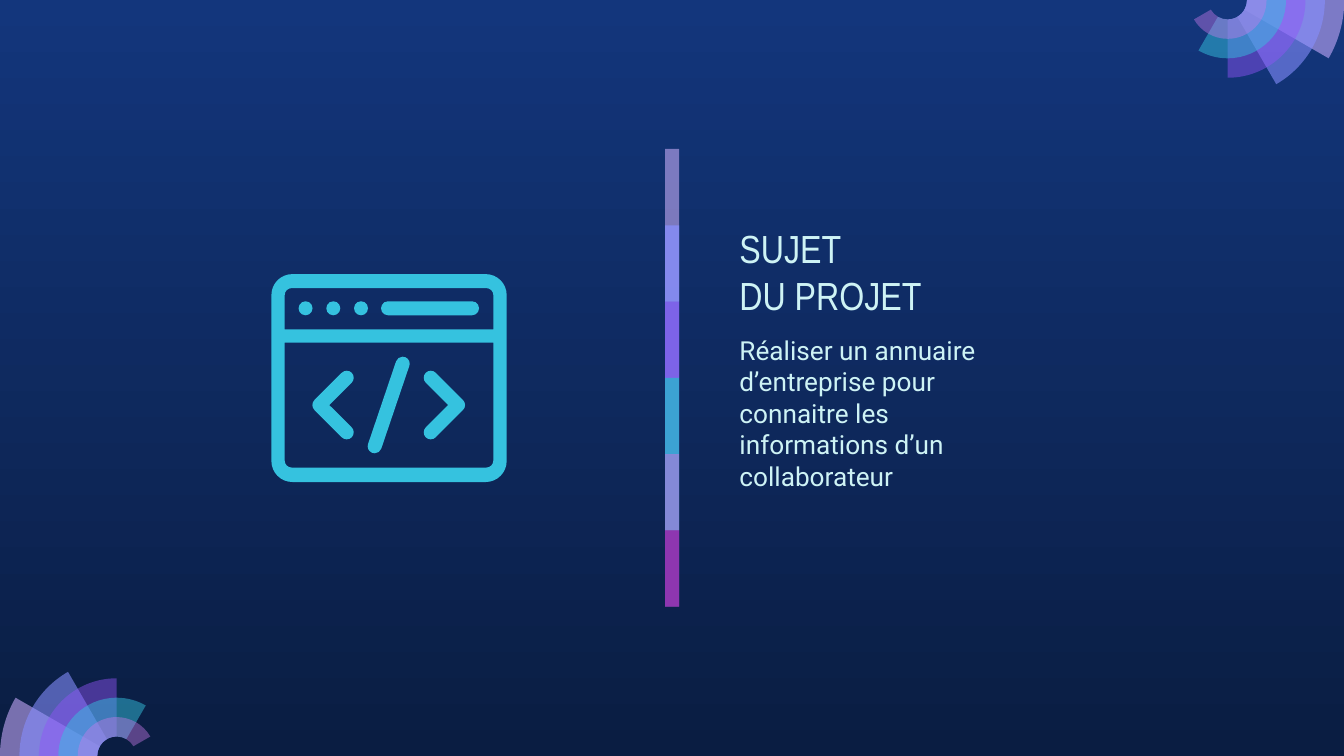
import dataclasses
import math

import lxml.etree
import pptx
import pptx.dml.color
import pptx.enum.shapes
import pptx.enum.text
import pptx.oxml.ns
import pptx.util

COLUMNS, ROWS = 96, 54
WIDTH, HEIGHT = pptx.util.Inches(13.33), pptx.util.Inches(7.5)
UNIT = HEIGHT / ROWS


@dataclasses.dataclass(frozen=True)
class Theme:
    """Colours with opacity in percent, fonts and type sizes."""
    sky: tuple = ("13367C", "0A1D42")
    ink: str = "CEF3F5"
    icon: str = "35C2DF"
    strip: tuple = (("C8AEF8", 59), ("878FFF", 74), ("9154F8", 53),
                    ("35C2DF", 76), ("CA7BEB", 56), ("972CB4", 74))
    fan: tuple = (("C8ACFD", 58), ("878FFF", 58), ("9154F8", 46),
                  ("35C2DF", 49), ("CA7BEB", 42))
    title_font: str = "Arial Narrow"
    body_font: str = "Roboto"
    title_size: float = 28
    body_size: float = 18.7


@dataclasses.dataclass(frozen=True)
class Box:
    """A region in grid columns and rows."""
    left: float
    top: float
    width: float
    height: float

    def inner(self, left, top, width, height):
        """Return a box placed relative to this one."""
        return Box(self.left + left, self.top + top, width, height)

    def place(self, shape):
        """Move and size a shape to fill the box."""
        shape.left, shape.top, shape.width, shape.height = self.lengths()

    def lengths(self):
        """Return left, top, width and height in EMU."""
        return [pptx.util.Emu(round(value * UNIT))
                for value in (self.left, self.top, self.width, self.height)]


THEME = Theme()


def rgb(code):
    """Turn a hex code into a colour."""
    return pptx.dml.color.RGBColor.from_string(code)


def paint(shape, colour, opacity=100):
    """Give a shape a flat fill with no line or shadow."""
    shape.shadow.inherit = False
    shape.fill.solid()
    shape.fill.fore_color.rgb = rgb(colour)
    shape.line.fill.background()
    if opacity < 100:
        alpha = pptx.oxml.ns.qn("a:alpha")
        for node in shape.element.iter(pptx.oxml.ns.qn("a:srgbClr")):
            lxml.etree.SubElement(node, alpha).set("val", str(opacity * 1000))


def add_preset(page, kind, box, colour, opacity=100):
    """Add a flat preset shape."""
    shape = page.shapes.add_shape(kind, *box.lengths())
    paint(shape, colour, opacity)
    return shape


def arc(x, y, radius, start, end):
    """List a first point, then one curve of three points per quadrant."""
    if not radius:
        return [((x, y),)]
    low, high = sorted((start, end))
    turns = range(math.floor(low / 90) + 1, math.ceil(high / 90))
    stops = sorted({low, high, *(90 * turn for turn in turns)}, reverse=start > end)
    angles = [math.radians(stop) for stop in stops]
    spots = [(x + radius * math.cos(a), y + radius * math.sin(a)) for a in angles]
    steps = [(spots[0],)]
    for a, b, first, last in zip(angles, angles[1:], spots, spots[1:]):
        pull = radius * 4 / 3 * math.tan((b - a) / 4)
        steps.append(((first[0] - pull * math.sin(a), first[1] + pull * math.cos(a)),
                      (last[0] + pull * math.sin(b), last[1] - pull * math.cos(b)),
                      last))
    return steps


def rounded(left, top, right, bottom, upper, lower):
    """List the outline of a rectangle with rounded corners."""
    return (arc(left + upper, top + upper, upper, 180, 270)
            + arc(right - upper, top + upper, upper, 270, 360)
            + arc(right - lower, bottom - lower, lower, 0, 90)
            + arc(left + lower, bottom - lower, lower, 90, 180))


def bend(shape, contours):
    """Join each three-point step of a freeform into a curve."""
    lines = iter(list(shape.element.iter(pptx.oxml.ns.qn("a:lnTo"))))
    for contour in contours:
        for step in contour[1:]:
            joined = [next(lines) for point in step]
            if len(joined) == 3:
                parent = joined[0].getparent()
                curve = lxml.etree.SubElement(parent, pptx.oxml.ns.qn("a:cubicBezTo"))
                joined[0].addprevious(curve)
                for line in joined:
                    curve.append(line[0])
                    parent.remove(line)


def add_outline(page, box, contours, colour, opacity=100):
    """Add a flat freeform from contours measured in the box."""
    scaled = [[((box.left + x) * UNIT, (box.top + y) * UNIT)
               for step in contour for x, y in step] for contour in contours]
    builder = page.shapes.build_freeform(*scaled[0][0], scale=1.0)
    for index, points in enumerate(scaled):
        if index:
            builder.move_to(*points[0])
        builder.add_line_segments(points[1:], close=True)
    shape = builder.convert_to_shape()
    bend(shape, contours)
    paint(shape, colour, opacity)


def add_strip(page, box):
    """Stack overlapping translucent bars down the box."""
    count = len(THEME.strip)
    step = box.height / count
    for index, (colour, opacity) in enumerate(THEME.strip):
        bar = box.inner(0, index * step, box.width, step * min(2, count - index))
        add_preset(page, pptx.enum.shapes.MSO_SHAPE.RECTANGLE, bar, colour, opacity)


def add_fan(page, box, x, y, start):
    """Spread ring sectors around a hub inside the box."""
    step = box.height / (len(THEME.fan) + 1)
    for index, (colour, opacity) in enumerate(THEME.fan):
        end = start + 30 * (index + 1)
        outer = box.height - index * step
        sector = arc(x, y, outer, start, end) + arc(x, y, step, end, start)
        add_outline(page, box, [sector], colour, opacity)


def add_code_icon(page, box):
    """Draw a browser window holding a code tag."""
    right, bottom = box.width, box.height
    add_outline(page, box, [
        rounded(0, 0, right, bottom, 1.5, 1.5),
        rounded(0.95, 1, right - 0.95, 3.95, 0.5, 0),
        rounded(0.95, 4.9, right - 0.95, bottom - 1.03, 0, 0.5)], THEME.icon)
    kinds = pptx.enum.shapes.MSO_SHAPE
    for index in range(3):
        dot = box.inner(1.94 + 1.98 * index, 1.94, 1, 1)
        add_preset(page, kinds.OVAL, dot, THEME.icon)
    address = box.inner(7.83, 1.94, 7, 1)
    add_preset(page, kinds.ROUNDED_RECTANGLE, address, THEME.icon).adjustments[0] = 0.5

    middle_x, middle_y, radius = 8.38, 9.35, 0.5
    end_x, tip_x, rise = 3, 4.95, 1.95
    chevron = (arc(end_x, -rise, radius, 135, 315)
               + arc(tip_x, 0, radius, -45, 45)
               + arc(end_x, rise, radius, 45, 225)
               + [((tip_x - radius * math.sqrt(2), 0),)])
    for side in (1, -1):
        outline = [tuple((middle_x + side * x, middle_y + y) for x, y in step)
                   for step in chevron]
        add_outline(page, box, [outline], THEME.icon)

    run, climb = 1, 2.95
    lean = math.degrees(math.atan2(-climb, run))
    slash = (arc(middle_x + run, middle_y - climb, radius, lean - 90, lean + 90)
             + arc(middle_x - run, middle_y + climb, radius, lean + 90, lean + 270))
    add_outline(page, box, [slash], THEME.icon)


def write(shape, lines, font, size, anchor):
    """Write left-aligned lines into a shape."""
    frame = shape.text_frame
    frame.word_wrap = True
    frame.auto_size = pptx.enum.text.MSO_AUTO_SIZE.NONE
    frame.vertical_anchor = anchor
    inset = pptx.util.Inches(0.13)
    frame.margin_left = frame.margin_right = inset
    frame.margin_top = frame.margin_bottom = inset
    para = frame.paragraphs[0]
    para.alignment = pptx.enum.text.PP_ALIGN.LEFT
    for index, line in enumerate(lines):
        if index:
            para.add_line_break()
        span = para.add_run()
        span.text = line
        span.font.name = font
        span.font.size = pptx.util.Pt(size)
        span.font.color.rgb = rgb(THEME.ink)


def add_subject(page, box):
    """Place the title above its description."""
    anchors = pptx.enum.text.MSO_ANCHOR
    title = page.shapes.title
    box.inner(0, 0, box.width, 10.22).place(title)
    write(title, ["SUJET ", "DU PROJET"], THEME.title_font, THEME.title_size,
          anchors.BOTTOM)
    body = page.shapes.add_textbox(*box.inner(0, 9.46, box.width, 18.94).lengths())
    text = ("Réaliser un annuaire d’entreprise pour connaitre "
            "les informations d’un collaborateur")
    write(body, [text], THEME.body_font, THEME.body_size, anchors.TOP)


def add_background(page):
    """Shade the page from top to bottom."""
    fill = page.background.fill
    fill.gradient()
    fill.gradient_angle = 270
    for position, (stop, colour) in enumerate(zip(fill.gradient_stops, THEME.sky)):
        stop.position = position
        stop.color.rgb = rgb(colour)


def main():
    """Build and save the deck."""
    deck = pptx.Presentation()
    deck.slide_width, deck.slide_height = WIDTH, HEIGHT
    page = deck.slides.add_slide(deck.slide_layouts[5])
    add_background(page)
    add_strip(page, Box(47.5, 10.64, 1, 32.7))
    add_subject(page, Box(51.87, 13.48, 20, 28.4))
    add_code_icon(page, Box(19.38, 19.58, 16.8, 14.85))
    reach = 8.33
    add_fan(page, Box(0, ROWS - reach, reach, reach), reach, reach, 180)
    add_fan(page, Box(COLUMNS - reach, 0, reach, reach), 0, 0, 0)
    deck.save("out.pptx")


if __name__ == "__main__":
    main()
